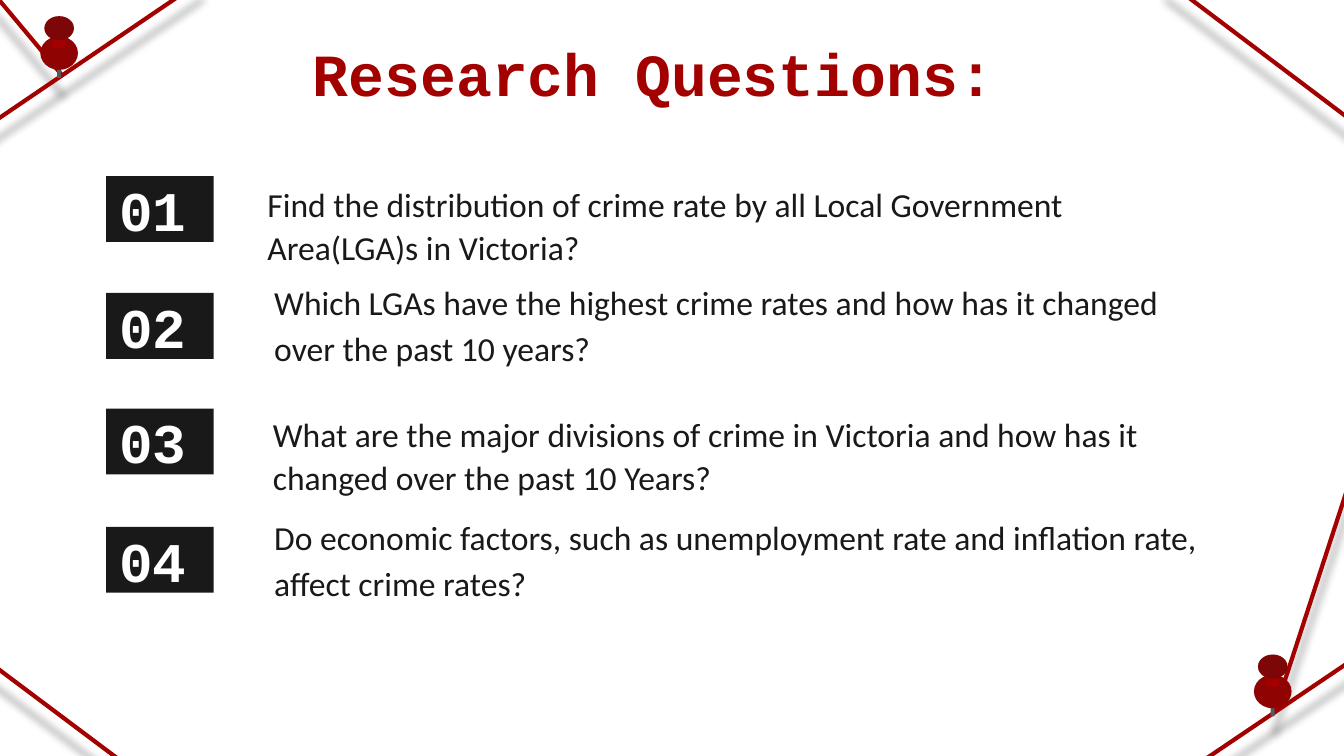
from lxml import etree
from pptx import Presentation
from pptx.dml.color import RGBColor
from pptx.enum.shapes import MSO_CONNECTOR, MSO_SHAPE
from pptx.enum.text import MSO_ANCHOR, MSO_AUTO_SIZE, PP_ALIGN
from pptx.oxml import parse_xml
from pptx.oxml.ns import nsdecls, qn
from pptx.util import Inches, Pt

COLORS = {"red": "A30000", "ink": "191919", "steel": "58595B", "white": "FFFFFF"}

# Grid of square cells: 100 columns by 56.25 rows
CELL = Inches(0.1)

deck = Presentation()
deck.slide_width, deck.slide_height = int(100 * CELL), int(56.25 * CELL)
page = deck.slides.add_slide(deck.slide_layouts.get_by_name("Comparison"))


def cells(*counts):
    return [int(count * CELL) for count in counts]


def write(box, text, font, size, color, bold, anchor):
    """Write one formatted paragraph in a box and return it."""
    frame = box.text_frame
    frame.word_wrap = True
    frame.auto_size = MSO_AUTO_SIZE.NONE
    frame.vertical_anchor = anchor
    frame.margin_left = frame.margin_right = CELL
    frame.margin_top = frame.margin_bottom = CELL
    para = frame.paragraphs[0]
    para.alignment = PP_ALIGN.LEFT
    para.space_before = Pt(0)
    span = para.add_run()
    span.text = text
    span.font.name, span.font.size, span.font.bold = font, Pt(size), bold
    span.font.color.rgb = RGBColor.from_string(COLORS[color])
    return para


# Red strings across the corners, with a soft shadow below
strings = [
    (100.6, 9, 86.7, -1.5),
    (10.7, 57.9, -3.3, 47.4),
    (-0.4, -0.4, 4.7, 5.7),
    (-4.5, 11.8, 15.1, -1.5),
    (102.2, 30.4, 94.8, 53.1),
    (86.7, 58.5, 102.7, 47.7),
]
for ends in strings:
    string = page.shapes.add_connector(MSO_CONNECTOR.STRAIGHT, *cells(*ends))
    string.line.color.rgb = RGBColor.from_string(COLORS["red"])
    string.line.width = Pt(2.25)
    string._element.spPr.append(parse_xml(
        f'<a:effectLst {nsdecls("a")}><a:outerShdw blurRad="{Pt(4.5)}" dist="{Pt(10.5)}" '
        'dir="5400000" algn="bl" rotWithShape="0"><a:srgbClr val="000000">'
        '<a:alpha val="37000"/></a:srgbClr></a:outerShdw></a:effectLst>'))

# Push pins: shape, drop from the top, width, height, color, opacity in percent
pin_parts = [
    (MSO_SHAPE.ROUNDED_RECTANGLE, 0.6, 0.3, 4, "steel", 100),
    (MSO_SHAPE.OVAL, 1.5, 2.8, 2.5, "red", 100),
    (MSO_SHAPE.OVAL, 1.5, 2.8, 2.5, "ink", 14),
    (MSO_SHAPE.ROUNDED_RECTANGLE, 1.1, 1, 1.3, "red", 100),
    (MSO_SHAPE.OVAL, 0, 2.2, 1.8, "red", 100),
    (MSO_SHAPE.OVAL, 0, 2.2, 1.8, "ink", 27),
]
for center, top in [(94.7, 48.7), (4.4, 1.2)]:
    for kind, drop, width, height, color, opacity in pin_parts:
        part = page.shapes.add_shape(
            kind, *cells(center - width / 2, top + drop, width, height))
        part.shadow.inherit = False
        part.line.fill.background()
        part.fill.solid()
        part.fill.fore_color.rgb = RGBColor.from_string(COLORS[color])
        if opacity < 100:
            tint = part._element.spPr.find(qn("a:solidFill"))[0]
            etree.SubElement(tint, qn("a:alpha")).set("val", str(opacity * 1000))

# Title
title = page.shapes.title
title.left, title.top, title.width, title.height = cells(6.5, 1.7, 84.3, 6.3)
heading = write(title, "Research Questions:", "Courier New", 32, "red", True, MSO_ANCHOR.TOP)
heading.alignment = PP_ALIGN.CENTER

# Numbered questions: left, top, badge top, indent, line spacing, space after, wording
questions = [
    (18.9, 15.6, 13.1, 0, 1.07, 8,
     "Find the distribution of crime rate by all Local Government Area(LGA)s in Victoria?"),
    (17.9, 23.1, 21.8, 1.5, 1.15, 0,
     "Which LGAs have the highest crime rates and how has it changed over the past 10 years?"),
    (19.3, 32.7, 30.4, 0, 1.07, 8,
     "What are the major divisions of crime in Victoria and how has it changed "
     "over the past 10 Years?"),
    (17.9, 40.6, 39.2, 1.5, 1.15, 0,
     "Do economic factors, such as unemployment rate and inflation rate, affect crime rates?"),
]
bodies = [box for box in page.placeholders if box.placeholder_format.idx > 0]
for number, (body, question) in enumerate(zip(bodies, questions), start=1):
    left, top, badge_top, indent, spacing, after, wording = question

    badge = page.shapes.add_shape(MSO_SHAPE.RECTANGLE, *cells(7.9, badge_top, 8, 4.9))
    badge.shadow.inherit = False
    badge.line.fill.background()
    badge.fill.solid()
    badge.fill.fore_color.rgb = RGBColor.from_string(COLORS["ink"])
    write(badge, f"{number:02}", "Courier New", 30, "white", True, MSO_ANCHOR.MIDDLE)

    body.left, body.top, body.width, body.height = cells(left, top, 72.9, 5.3)
    para = write(body, wording, "Calibri", 18, "ink", False, MSO_ANCHOR.BOTTOM)
    para.line_spacing = spacing
    para.space_after = Pt(after)
    settings = para._p.get_or_add_pPr()
    settings.set("marL", str(int(indent * CELL)))
    settings.set("indent", "0")
    etree.SubElement(settings, qn("a:buNone"))

deck.save("out.pptx")
